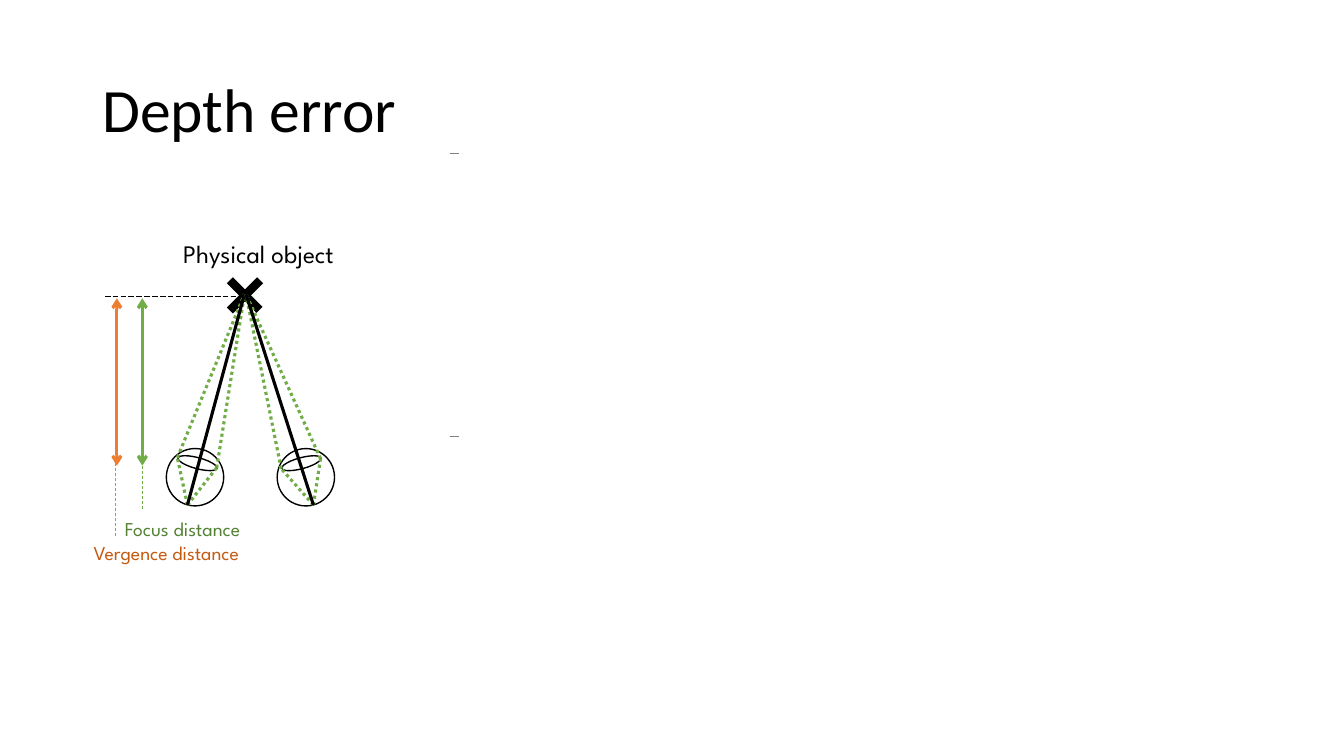
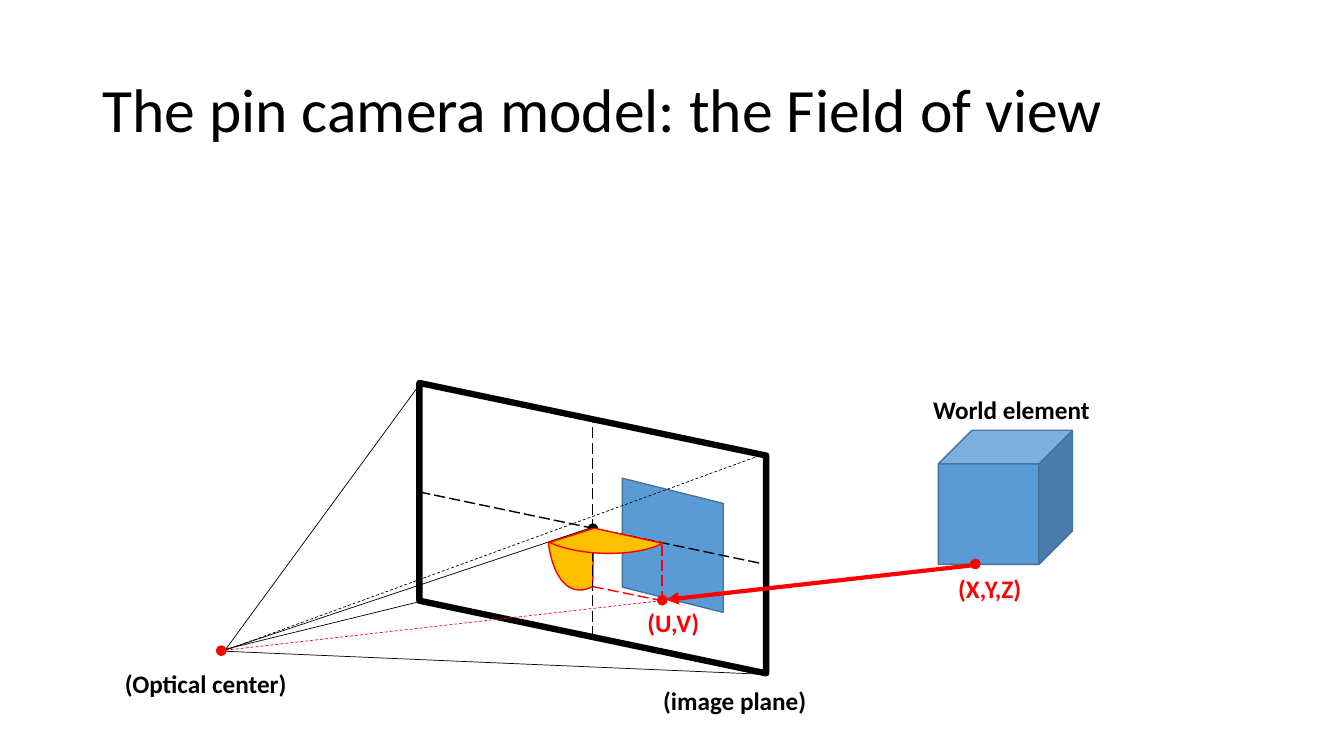
from lxml.etree import SubElement
from pptx import Presentation
from pptx.dml.color import RGBColor
from pptx.enum.dml import MSO_LINE
from pptx.enum.shapes import MSO_CONNECTOR, MSO_SHAPE
from pptx.enum.text import MSO_ANCHOR, MSO_AUTO_SIZE, PP_ALIGN
from pptx.oxml.ns import qn
from pptx.util import Pt

COLORS = {
    "black": "000000",
    "white": "FFFFFF",
    "gray": "808080",
    "green": "70AD47",
    "dark green": "548235",
    "orange": "ED7D31",
    "dark orange": "C55A11",
    "blue": "5B9BD5",
    "dark blue": "43739E",
    "yellow": "FFC000",
    "red": "FF0000",
}
DOT, DASH, LONG = MSO_LINE.ROUND_DOT, MSO_LINE.DASH, MSO_LINE.LONG_DASH


def draw_line(page, start, end, color, width, dash=None, heads=()):
    points = [Pt(value) for value in (*start, *end)]
    connector = page.shapes.add_connector(MSO_CONNECTOR.STRAIGHT, *points)
    connector.line.color.rgb = RGBColor.from_string(COLORS[color])
    connector.line.width = Pt(width)
    if dash:
        connector.line.dash_style = dash
    properties = connector.element.spPr
    for tag, kind in heads:
        SubElement(properties.find(qn("a:ln")), qn(tag), type=kind)
    SubElement(properties, qn("a:effectLst"))


def style_shape(shape, fill, outline, width=1, rotation=0):
    shape.shadow.inherit = False
    shape.rotation = rotation
    if fill:
        shape.fill.solid()
        shape.fill.fore_color.rgb = RGBColor.from_string(COLORS[fill])
    else:
        shape.fill.background()
    shape.line.color.rgb = RGBColor.from_string(COLORS[outline])
    shape.line.width = Pt(width)


deck = Presentation()
deck.slide_width, deck.slide_height = Pt(960), Pt(540)
depth_page, camera_page = [deck.slides.add_slide(deck.slide_layouts[6]) for _ in range(2)]

for page, title in [
    (depth_page, "Depth error"),
    (camera_page, "The pin camera model: the Field of view"),
]:
    box = page.shapes.add_textbox(Pt(66), Pt(28.5), Pt(828), Pt(104.4))
    box.text_frame.word_wrap = True
    box.text_frame.vertical_anchor = MSO_ANCHOR.MIDDLE
    para = box.text_frame.paragraphs[0]
    para.line_spacing = 0.9
    span = para.add_run()
    span.text = title
    span.font.size = Pt(44)
    span.font.name = "Calibri"
    span.font.color.rgb = RGBColor.from_string(COLORS["black"])

draw_line(depth_page, (185.8, 200.2), (164.2, 221.8), "black", 6)
draw_line(depth_page, (164.2, 200.2), (185.4, 221.4), "black", 6)

for eye_left, lens_left, tilt, retina, outer, inner, target in [
    (118.8, 126.7, 15, (133.9, 360.7), (126.7, 326.9), (154.8, 334.1), (174.6, 210.2)),
    (198, 200.9, 345, (223.9, 360.7), (229, 327.6), (200.9, 334.8), (175.7, 210.2)),
]:
    for left, top, width, height in [
        (eye_left, 320.4, 41, 41),
        (lens_left, 326.9, 28.8, 7.9),
    ]:
        oval = depth_page.shapes.add_shape(
            MSO_SHAPE.OVAL, Pt(left), Pt(top), Pt(width), Pt(height))
        style_shape(oval, "white", "black", rotation=tilt)
    for lens_edge in (outer, inner):
        draw_line(depth_page, retina, lens_edge, "green", 2.25, DOT)
        draw_line(depth_page, lens_edge, target, "green", 2.25, DOT)
    draw_line(depth_page, retina, target, "black", 2.25)

both_arrows = [("a:headEnd", "arrow"), ("a:tailEnd", "arrow")]
for arrow_x, guide_x, guide_bottom, color in [
    (83.5, 82.4, 383, "orange"),
    (101.7, 101.7, 363.6, "green"),
]:
    draw_line(depth_page, (arrow_x, 332.6), (arrow_x, 213.1), color, 2.25, heads=both_arrows)
    draw_line(depth_page, (guide_x, guide_bottom), (guide_x, 327), color, 0.5, DASH)
draw_line(depth_page, (74.9, 211.5), (177.8, 211.5), "black", 0.5, LONG)
for tick_y in (109.4, 311.6):
    draw_line(depth_page, (321.1, tick_y), (327.8, tick_y), "gray", 0.5)

for kind, left, top, width, height, rotation, fill, outline, weight in [
    (MSO_SHAPE.CUBE, 670.3, 307.4, 95.8, 95.8, 0, "blue", "dark blue", 1),
    (MSO_SHAPE.PARALLELOGRAM, 432.7, 353.5, 95.8, 72, 270, "blue", "dark blue", 1),
    (MSO_SHAPE.PARALLELOGRAM, 319.7, 253.4, 207.4, 247.7, 90, None, "black", 4.5),
    (MSO_SHAPE.OVAL, 420.3, 374.4, 6.5, 6.5, 0, "black", "black", 1),
]:
    solid = camera_page.shapes.add_shape(kind, Pt(left), Pt(top), Pt(width), Pt(height))
    style_shape(solid, fill, outline, weight, rotation)

plane_lines = [
    ((158.4, 465.1), (546.5, 481.7), "black", 0.5, None),
    ((423.4, 455), (423.4, 300.2), "black", 1, LONG),
    ((299.5, 351.4), (547.2, 403.2), "black", 1, LONG),
    ((158.4, 465.1), (421.2, 377.3), "black", 0.5, None),
    ((158.4, 464.4), (299.5, 429.8), "black", 0.5, None),
    ((161.3, 463.7), (299.5, 275), "black", 0.5, None),
    ((161.3, 464.4), (546.5, 324), "black", 0.5, DASH),
    ((473, 429.8), (473, 388.1), "red", 1, LONG),
    ((423.4, 419), (473, 429.1), "red", 1, LONG),
]
projection_lines = [
    ((475.9, 428.4), (699.8, 403.2), "red", 3, None, [("a:headEnd", "triangle")]),
    ((161.3, 464.4), (699.8, 403.2), "red", 0.5, DASH),
]
for apex, arc, lines in [
    ((424, 377.3), [(391.7, 387.4), (393.8, 406.1), (403.2, 429.1), (423.4, 419)], plane_lines),
    ((424.6, 377.3), [(392.4, 387.4), (414, 397.4), (453.6, 398.2), (473.4, 388.1)], projection_lines),
]:
    curve = []
    for step in range(25):
        t = step / 24
        weights = ((1 - t) ** 3, 3 * t * (1 - t) ** 2, 3 * t * t * (1 - t), t ** 3)
        curve.append([
            100 * sum(weight * point[axis] for weight, point in zip(weights, arc))
            for axis in (0, 1)
        ])
    builder = camera_page.shapes.build_freeform(100 * apex[0], 100 * apex[1], scale=Pt(1) / 100)
    builder.add_line_segments(curve, close=True)
    style_shape(builder.convert_to_shape(), "yellow", "red")
    for line in lines:
        draw_line(camera_page, *line)

for left, top in [(154.8, 461.5), (469.8, 425.5), (693.4, 399.6)]:
    dot = camera_page.shapes.add_shape(MSO_SHAPE.OVAL, Pt(left), Pt(top), Pt(6.5), Pt(6.5))
    style_shape(dot, "red", "red")

LEFT, CENTER = PP_ALIGN.LEFT, PP_ALIGN.CENTER
depth_style = (depth_page, "League Spartan", False, LEFT)
camera_style = (camera_page, "Calibri", True, LEFT)
point_style = (camera_page, "Calibri", True, CENTER)
for style, text, left, top, width, height, size, color in [
    (depth_style, "Physical object", 123.8, 167, 125.3, 28.8, 18, "black"),
    (depth_style, "Vergence distance", 59.8, 383, 121, 24.5, 14, "dark orange"),
    (depth_style, "Focus distance", 82.1, 365.8, 100.8, 24.5, 14, "dark green"),
    (point_style, "(U,V)", 455, 430.6, 51.8, 28.8, 18, "red"),
    (point_style, "(X,Y,Z)", 676.8, 406.1, 60.5, 28.8, 18, "red"),
    (camera_style, "World element", 659.5, 277.9, 127.4, 28.8, 18, "black"),
    (camera_style, "(image plane)", 466.6, 486, 117.4, 28.8, 18, "black"),
    (camera_style, "(Optical center)", 82.1, 473.8, 131, 28.8, 18, "black"),
]:
    page, font, bold, alignment = style
    box = page.shapes.add_textbox(Pt(left), Pt(top), Pt(width), Pt(height))
    box.text_frame.word_wrap = False
    box.text_frame.auto_size = MSO_AUTO_SIZE.SHAPE_TO_FIT_TEXT
    para = box.text_frame.paragraphs[0]
    para.alignment = alignment
    span = para.add_run()
    span.text = text
    span.font.name = font
    span.font.size = Pt(size)
    span.font.bold = bold
    span.font.color.rgb = RGBColor.from_string(COLORS[color])

deck.save("out.pptx")
